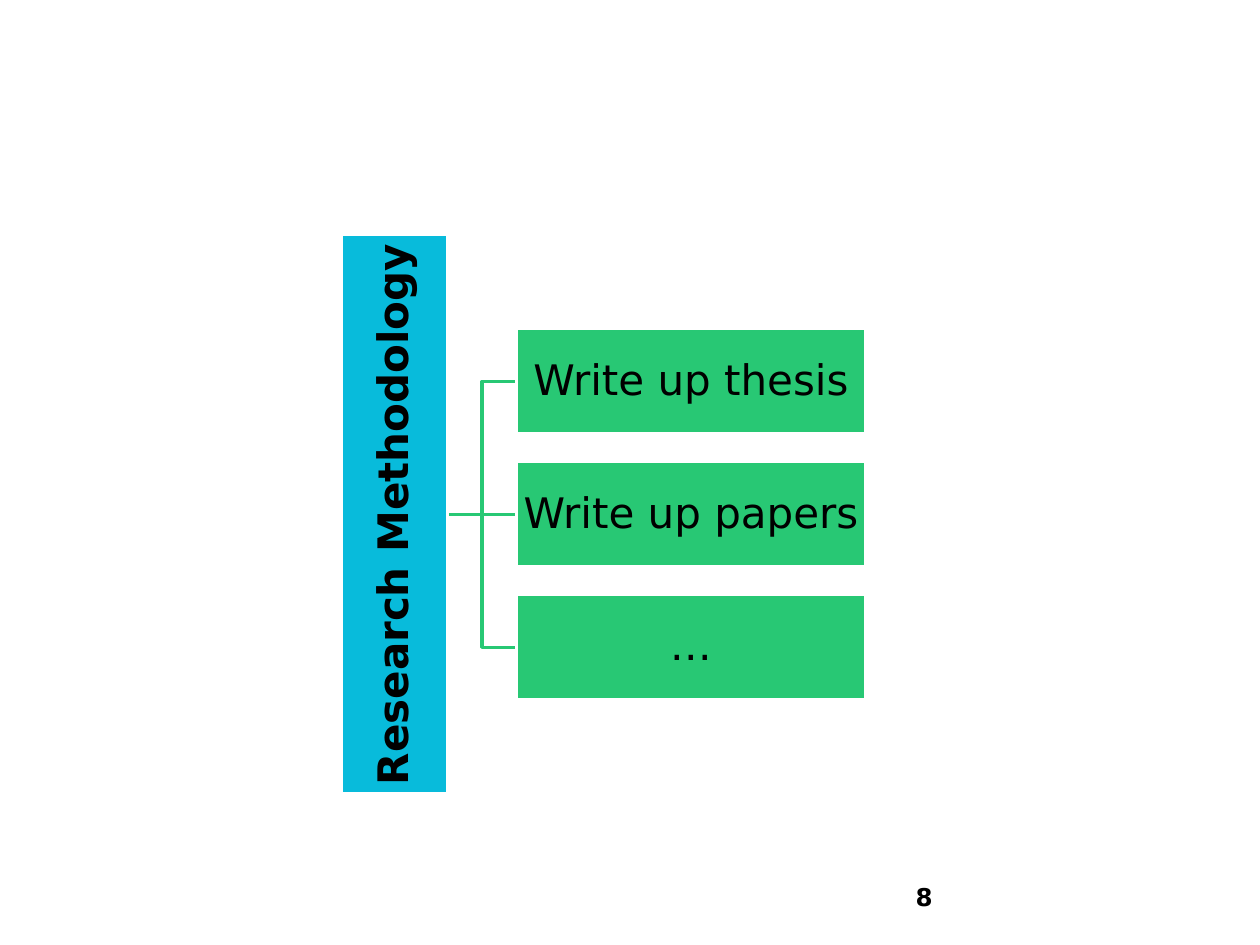
from pptx import Presentation
from pptx.dml.color import RGBColor
from pptx.enum.shapes import MSO_CONNECTOR, MSO_SHAPE
from pptx.enum.text import MSO_ANCHOR, PP_ALIGN
from pptx.oxml.ns import qn
from pptx.util import Cm, Pt
from lxml import etree

RECTANGLE = MSO_SHAPE.RECTANGLE
STRAIGHT = MSO_CONNECTOR.STRAIGHT
MIDDLE = MSO_ANCHOR.MIDDLE
CENTER = PP_ALIGN.CENTER

BLACK = RGBColor(0x00, 0x00, 0x00)
WHITE = RGBColor(0xFF, 0xFF, 0xFF)
CYAN = RGBColor(0x08, 0xBB, 0xDB)
GREEN = RGBColor(0x28, 0xC8, 0x74)
FONT = "DejaVu Sans"

TASKS = ["Write up thesis", "Write up papers", "…"]
BAR = Cm(2.13)
TOPIC_LENGTH = Cm(11.28)
TASK_WIDTH = Cm(7.04)
TASK_PITCH = Cm(2.68)
TOPIC_RIGHT = Cm(9.02)
TASK_LEFT = Cm(10.41)
BRANCH_X = (TOPIC_RIGHT + TASK_LEFT) // 2
CENTER_Y = Cm(10.37)


def style_text(paragraph, size, bold):
    paragraph.font.name = FONT
    paragraph.font.size = Pt(size)
    paragraph.font.bold = bold
    paragraph.font.color.rgb = BLACK


def add_box(text, center_x, center_y, width, fill, bold=False):
    box = slide.shapes.add_shape(
        RECTANGLE, center_x - width // 2, center_y - BAR // 2, width, BAR)
    box.shadow.inherit = False
    box.fill.solid()
    box.fill.fore_color.rgb = fill
    box.line.color.rgb = WHITE
    box.line.width = Pt(2)
    frame = box.text_frame
    frame.word_wrap = True
    frame.vertical_anchor = MIDDLE
    frame.margin_left = frame.margin_right = Cm(0.04)
    frame.margin_top = frame.margin_bottom = Cm(0.04)
    paragraph = frame.paragraphs[0]
    paragraph.text = text
    paragraph.alignment = CENTER
    paragraph.line_spacing = 0.9
    style_text(paragraph, 24, bold)
    return box


prs = Presentation()
prs.slide_width = Cm(25.4)
prs.slide_height = Cm(19.05)
slide = prs.slides.add_slide(prs.slide_layouts[6])

# Page number
page_number = slide.shapes.add_textbox(Cm(18.21), Cm(17.65), Cm(5.92), Cm(1.02))
page_number.text_frame.word_wrap = True
page_number.text_frame.text = "8"
style_text(page_number.text_frame.paragraphs[0], 14, True)

# Branches from the topic to the outer tasks and the middle one
for offset in (TASK_PITCH, -TASK_PITCH):
    task_y = CENTER_Y + offset
    builder = slide.shapes.build_freeform(TOPIC_RIGHT, CENTER_Y)
    builder.add_line_segments(
        [(BRANCH_X, CENTER_Y), (BRANCH_X, task_y), (TASK_LEFT, task_y)], close=False)
    branch = builder.convert_to_shape()
    branch.shadow.inherit = False
    branch.fill.background()
    branch.line.color.rgb = GREEN
    branch.line.width = Pt(2)

stem = slide.shapes.add_connector(STRAIGHT, TOPIC_RIGHT, CENTER_Y, TASK_LEFT, CENTER_Y)
stem.line.color.rgb = GREEN
stem.line.width = Pt(2)
etree.SubElement(stem._element.spPr, qn("a:effectLst"))

# Topic, turned to read upwards, and its tasks
topic = add_box("Research Methodology", TOPIC_RIGHT - BAR // 2, CENTER_Y,
                TOPIC_LENGTH, CYAN, bold=True)
topic.rotation = 270

for row, task in enumerate(TASKS):
    add_box(task, TASK_LEFT + TASK_WIDTH // 2, CENTER_Y + (row - 1) * TASK_PITCH,
            TASK_WIDTH, GREEN)

prs.save("out.pptx")
